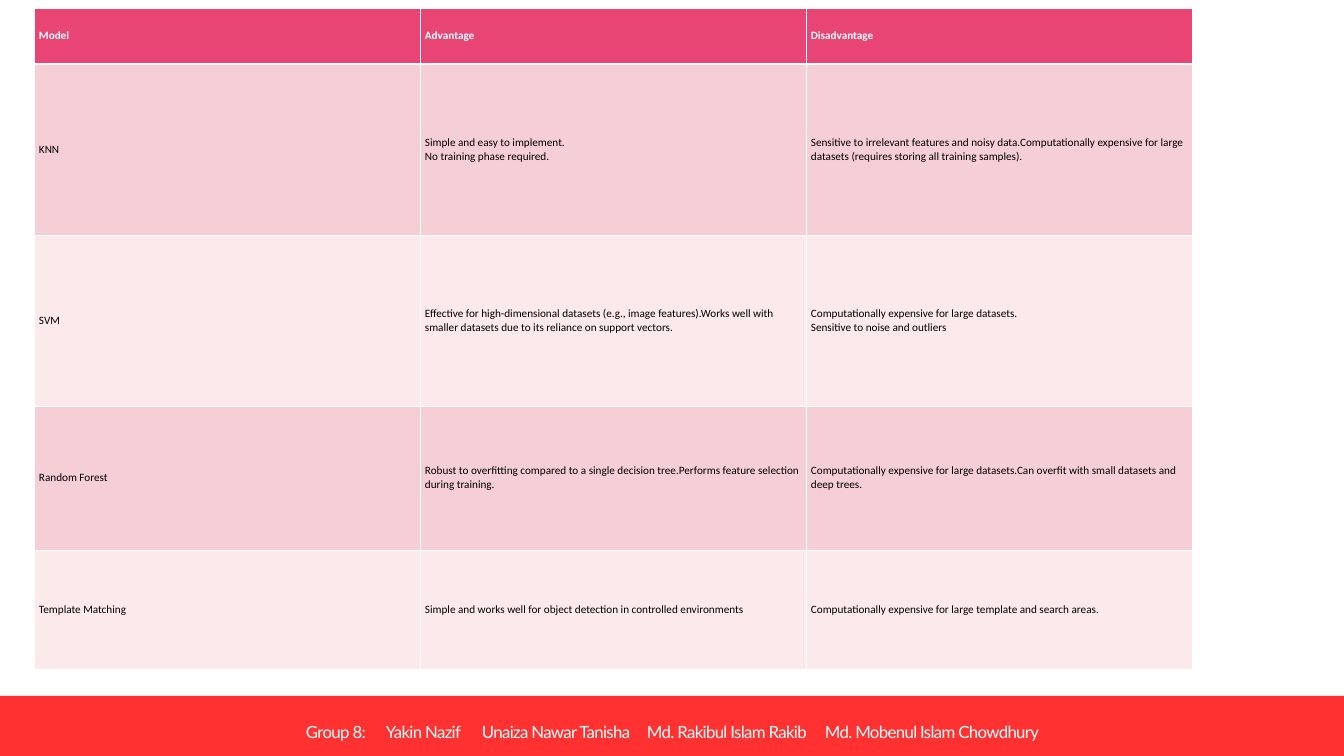
"""Build the model comparison slide: a table above a footer with the group's names."""
import pptx
import pptx.dml.color
import pptx.enum.shapes
import pptx.enum.text
import pptx.oxml
import pptx.oxml.ns
import pptx.util

RGBColor = pptx.dml.color.RGBColor
PINK = RGBColor(0xE8, 0x45, 0x74)
ROSE = RGBColor(0xF6, 0xCF, 0xD6)
BLUSH = RGBColor(0xFB, 0xE9, 0xEC)
RED = RGBColor(0xFF, 0x31, 0x31)
WHITE = RGBColor(0xFF, 0xFF, 0xFF)
BLACK = RGBColor(0x00, 0x00, 0x00)
PX = 914400 / 67.2
MIDDLE = pptx.enum.text.MSO_ANCHOR.MIDDLE


def px(*values):
    return [pptx.util.Emu(round(v * PX)) for v in values]


def add_xml(parent, body):
    parent.append(pptx.oxml.parse_xml(body.replace(" ", f" {pptx.oxml.ns.nsdecls('a')} ", 1)))


ROWS = [
    (56, ["Model", "Advantage", "Disadvantage"]),
    (171, ["KNN",
           "Simple and easy to implement.\nNo training phase required.",
           "Sensitive to irrelevant features and noisy data.Computationally expensive "
           "for large datasets (requires storing all training samples)."]),
    (171, ["SVM",
           "Effective for high-dimensional datasets (e.g., image features).Works well "
           "with smaller datasets due to its reliance on support vectors.",
           "Computationally expensive for large datasets.\nSensitive to noise and outliers"]),
    (144, ["Random Forest",
           "Robust to overfitting compared to a single decision tree.Performs feature "
           "selection during training.",
           "Computationally expensive for large datasets.Can overfit with small datasets "
           "and deep trees."]),
    (119, ["Template Matching",
           "Simple and works well for object detection in controlled environments",
           "Computationally expensive for large template and search areas."]),
]
NAMES = ["Group 8:", "Yakin Nazif", "Unaiza Nawar Tanisha", "Md. Rakibul Islam Rakib",
         "Md. Mobenul Islam Chowdhury"]
NAME_TABS = [80, 176, 341, 519]

prs = pptx.Presentation()
prs.slide_width, prs.slide_height = px(1344, 756)
s = prs.slides.add_slide(prs.slide_layouts[6])

footer = s.shapes.add_group_shape()
sp = footer.shapes.add_shape(pptx.enum.shapes.MSO_SHAPE.RECTANGLE, *px(0, 696, 1344, 60))
sp.shadow.inherit = False
sp.fill.solid()
sp.fill.fore_color.rgb = RED
sp.line.fill.background()

sp = footer.shapes.add_textbox(*px(0, 714, 1344, 42))
tf = sp.text_frame
left, inset = px(306, 4)
frame_format = {"word_wrap": True, "vertical_anchor": MIDDLE, "margin_left": left,
                "margin_right": inset, "margin_top": inset, "margin_bottom": inset}
for name, value in frame_format.items():
    setattr(tf, name, value)
p = tf.paragraphs[0]
p.line_spacing = pptx.util.Pt(14.4)
tabs = "".join(f'<a:tab pos="{pos}" algn="l"/>' for pos in px(*NAME_TABS))
add_xml(p._p.get_or_add_pPr(), f"<a:tabLst >{tabs}</a:tabLst>")
r = p.add_run()
r.text = "\t".join(NAMES)
for name, value in {"name": "Lato", "size": pptx.util.Pt(18)}.items():
    setattr(r.font, name, value)
r.font.color.rgb = WHITE
r._r.get_or_add_rPr().set("spc", "-70")

table = s.shapes.add_table(len(ROWS), 3, *px(34, 8, 1158, 661)).table
for column in table.columns:
    column.width = px(386)[0]
side, edge = px(5, 2)
cell_format = {"vertical_anchor": MIDDLE, "margin_left": side, "margin_right": side,
               "margin_top": edge, "margin_bottom": edge}
for i, (height, texts) in enumerate(ROWS):
    table.rows[i].height = px(height)[0]
    header = i == 0
    fill = PINK if header else ROSE if i % 2 else BLUSH
    for j, text in enumerate(texts):
        cell = table.cell(i, j)
        cell.text = text
        for name, value in cell_format.items():
            setattr(cell, name, value)
        for p in cell.text_frame.paragraphs:
            font_format = {"name": "Calibri", "size": pptx.util.Pt(12), "bold": header}
            for name, value in font_format.items():
                setattr(p.font, name, value)
            p.font.color.rgb = WHITE if header else BLACK
        tcPr = cell._tc.get_or_add_tcPr()
        for border in ("lnL", "lnR", "lnT", "lnB"):
            thick = (i, border) in ((0, "lnB"), (1, "lnT"))
            width = pptx.util.Pt(2.4 if thick else 0.8)
            add_xml(tcPr, f'<a:{border} w="{width}"><a:solidFill><a:srgbClr val="{WHITE}"/>'
                          f"</a:solidFill></a:{border}>")
        cell.fill.solid()
        cell.fill.fore_color.rgb = fill

prs.save("out.pptx")
